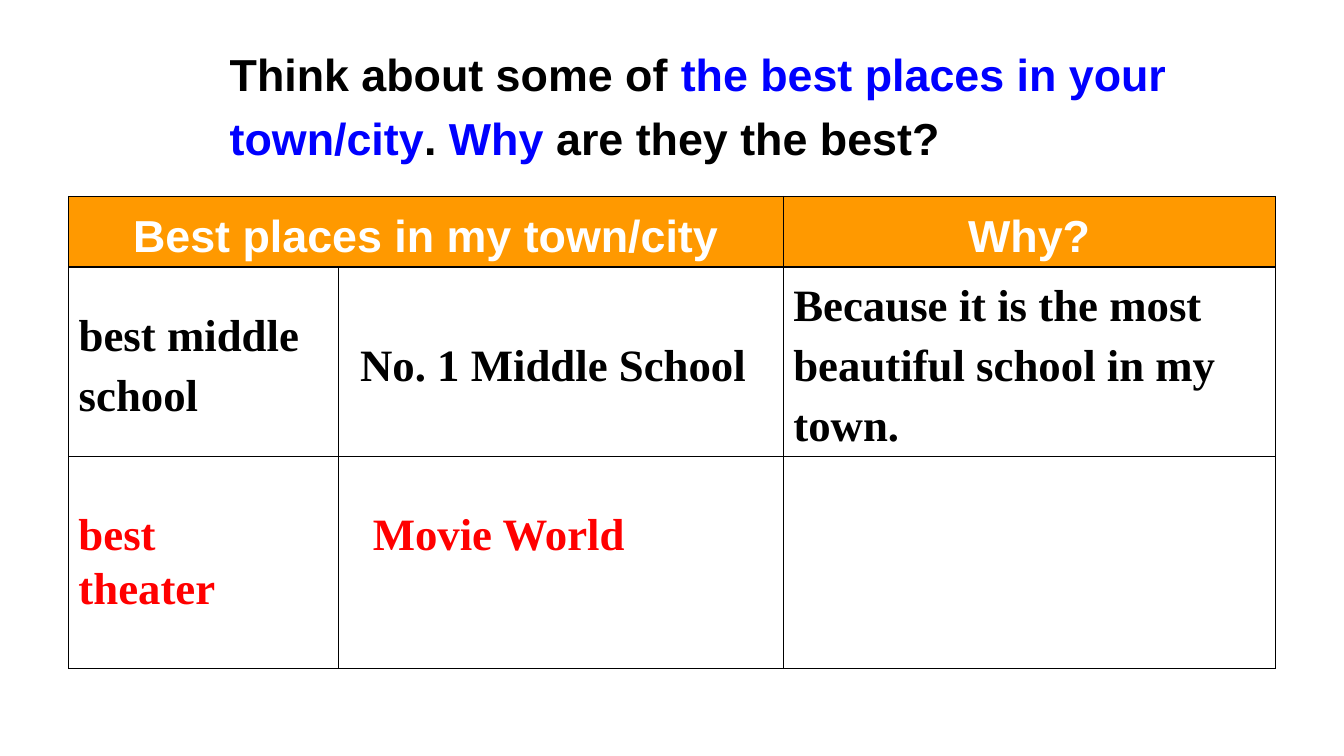
from lxml import etree
from pptx import Presentation
from pptx.dml.color import RGBColor
from pptx.enum.text import MSO_ANCHOR, MSO_AUTO_SIZE, PP_ALIGN
from pptx.oxml.ns import qn
from pptx.util import Pt

TOP, MIDDLE = MSO_ANCHOR.TOP, MSO_ANCHOR.MIDDLE
LEFT, CENTER = PP_ALIGN.LEFT, PP_ALIGN.CENTER
GROW, FIXED = MSO_AUTO_SIZE.SHAPE_TO_FIT_TEXT, MSO_AUTO_SIZE.NONE

COLORS = {"black": "000000", "blue": "0000FF", "red": "FF0000",
          "white": "FFFFFF", "orange": "FF9900"}
SANS, SERIF = "Arial", "Times New Roman"
TEXT_SIZE = 32
LINE_SPACING = 1.2
CELL_MARGIN = 7.2
SCHOOL_MARGIN = 15.2

QUESTION = [
    ("Think about some of ", "black"),
    ("the best places in your town/city", "blue"),
    (". ", "black"),
    ("Why", "blue"),
    (" are they the best?", "black"),
]
HEADINGS = [(0, "Best places in my town/city"), (2, "Why?")]
SCHOOL_ROW = [
    ("best middle school", MIDDLE, CELL_MARGIN),
    ("No. 1 Middle School", MIDDLE, SCHOOL_MARGIN),
    ("Because it is the most beautiful school in my town.", TOP, CELL_MARGIN),
]
QUESTION_BOX = (157, 9.4, 703.4, 124.6)
THEATER_BOXES = [
    ("best theater", (49, 357.8, 155.5, 84.2)),
    ("Movie World", (259.2, 357.8, 198.7, 46.1)),
]
TABLE_LEFT, TABLE_TOP = 49, 140.4
COLUMN_WIDTHS = [193, 317.5, 351.4]
ROW_HEIGHTS = [46.8, 115.9, 151.9]


def color(name):
    return RGBColor.from_string(COLORS[name])


def write(frame, runs, font_name, align=LEFT, spacing=None):
    paragraph = frame.paragraphs[0]
    paragraph.alignment = align
    if spacing:
        paragraph.line_spacing = spacing
    for text, color_name in runs:
        run = paragraph.add_run()
        run.text = text
        run.font.size = Pt(TEXT_SIZE)
        run.font.bold = True
        run.font.name = font_name
        run.font.color.rgb = color(color_name)


def add_text(slide, box, runs, font_name, anchor, fit, spacing=None):
    frame = slide.shapes.add_textbox(*map(Pt, box)).text_frame
    frame.word_wrap = True
    frame.auto_size = fit
    frame.vertical_anchor = anchor
    write(frame, runs, font_name, spacing=spacing)


def style_cell(cell, fill_name):
    properties = cell._tc.get_or_add_tcPr()
    for side in ("a:lnL", "a:lnR", "a:lnT", "a:lnB"):
        border = etree.SubElement(properties, qn(side), w=str(Pt(1)))
        solid = etree.SubElement(border, qn("a:solidFill"))
        etree.SubElement(solid, qn("a:srgbClr"), val=COLORS["black"])
    cell.fill.solid()
    cell.fill.fore_color.rgb = color(fill_name)


def add_places_table(slide):
    table = slide.shapes.add_table(
        len(ROW_HEIGHTS), len(COLUMN_WIDTHS), Pt(TABLE_LEFT), Pt(TABLE_TOP),
        Pt(sum(COLUMN_WIDTHS)), Pt(sum(ROW_HEIGHTS))).table
    table.first_row = False
    table.horz_banding = False
    for column, width in zip(table.columns, COLUMN_WIDTHS):
        column.width = Pt(width)
    for index, height in enumerate(ROW_HEIGHTS):
        table.rows[index].height = Pt(height)
        for cell in table.rows[index].cells:
            style_cell(cell, "white" if index else "orange")
    table.cell(0, 0).merge(table.cell(0, 1))
    for column, heading in HEADINGS:
        write(table.cell(0, column).text_frame, [(heading, "white")],
              SANS, CENTER, LINE_SPACING)
    for column, (text, anchor, margin) in enumerate(SCHOOL_ROW):
        cell = table.cell(1, column)
        cell.vertical_anchor = anchor
        cell.margin_left = Pt(margin)
        write(cell.text_frame, [(text, "black")], SERIF, spacing=LINE_SPACING)


def main():
    presentation = Presentation()
    presentation.slide_width, presentation.slide_height = Pt(960), Pt(540)
    slide = presentation.slides.add_slide(presentation.slide_layouts[6])
    add_places_table(slide)
    add_text(slide, QUESTION_BOX, QUESTION, SANS, MIDDLE, FIXED, LINE_SPACING)
    for text, box in THEATER_BOXES:
        add_text(slide, box, [(text, "red")], SERIF, TOP, GROW)
    presentation.save("out.pptx")


if __name__ == "__main__":
    main()
